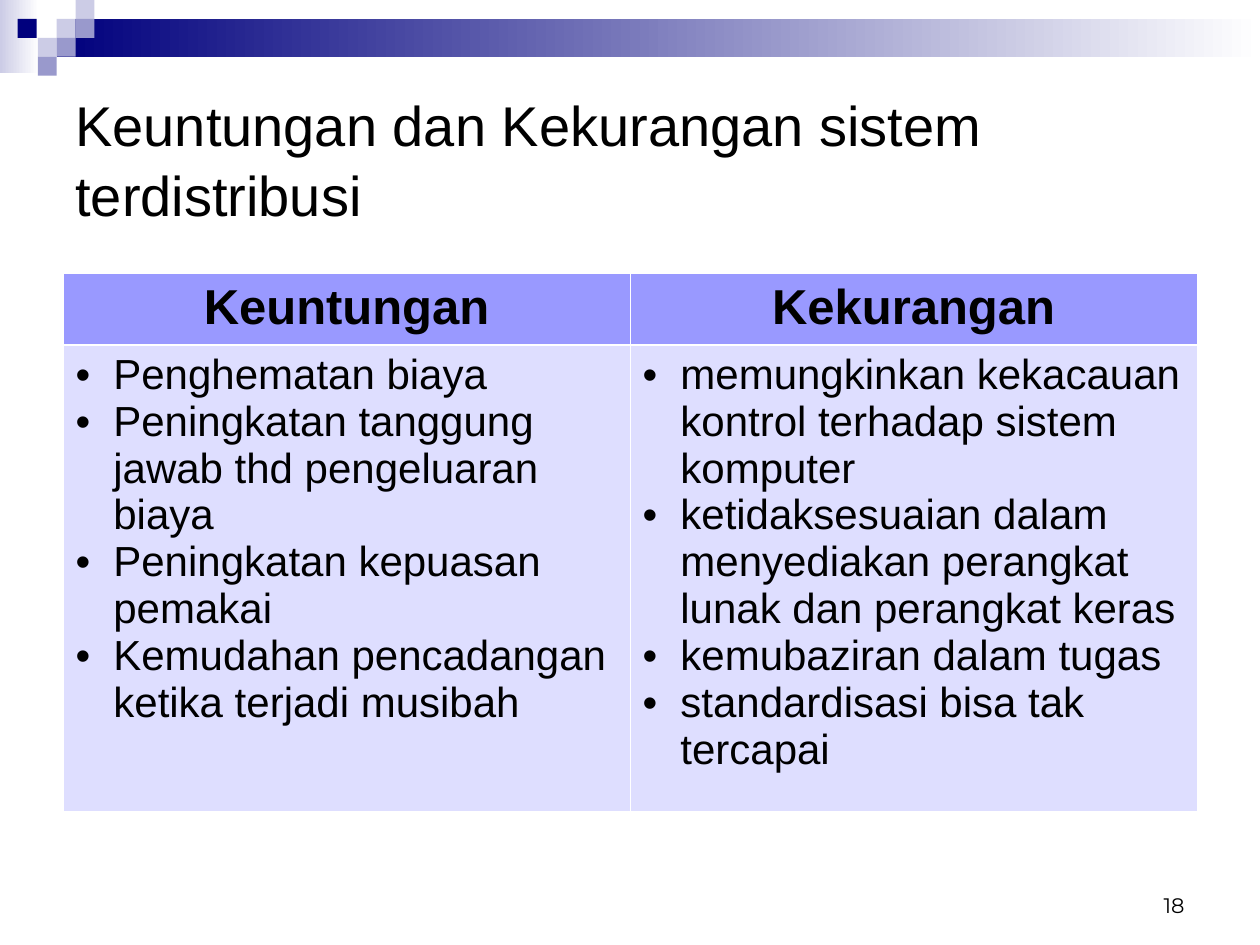
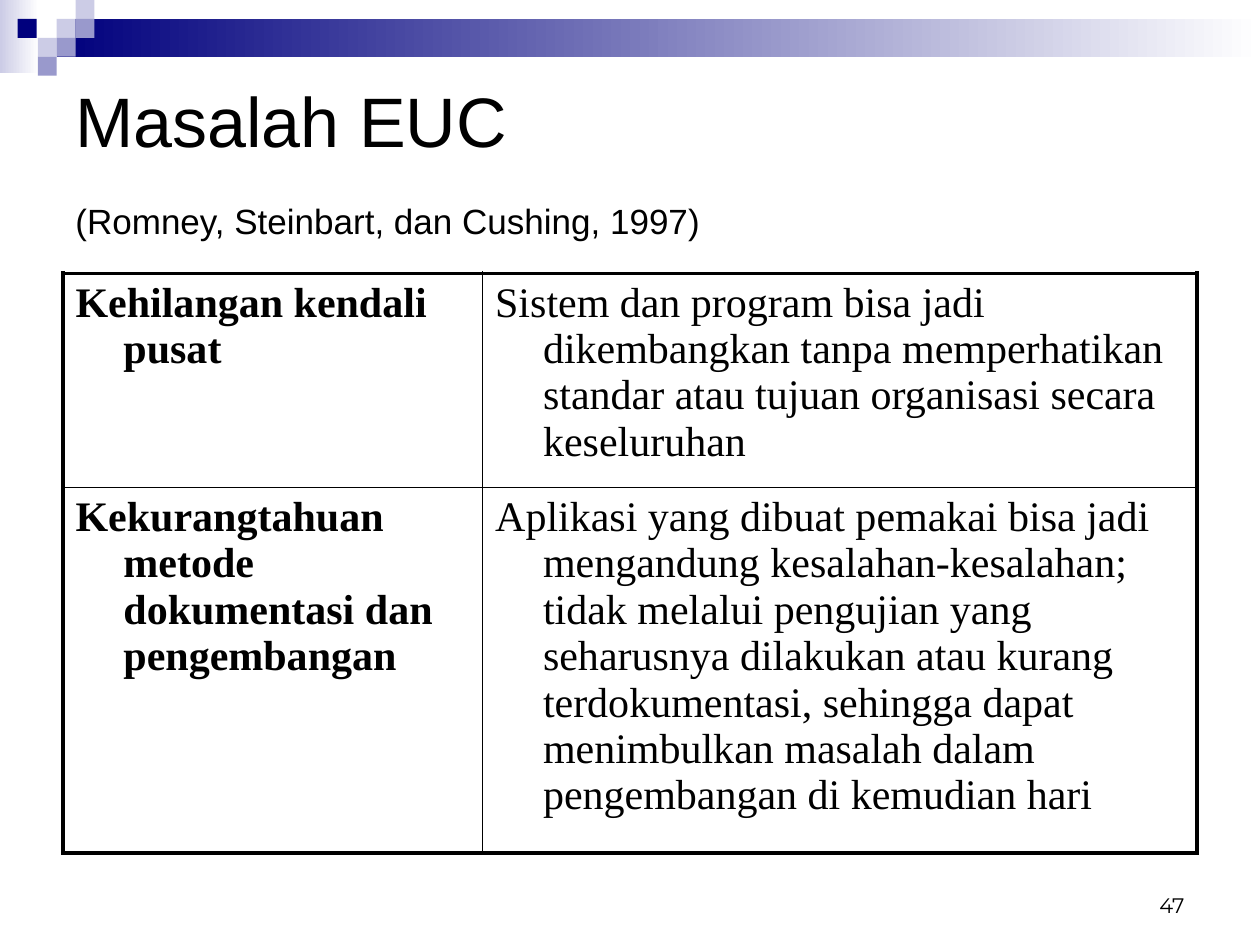
"""Build two slides: a comparison of distributed systems and a table of EUC problems."""
from lxml import etree
from pptx import Presentation
from pptx import util as u
from pptx.dml.color import RGBColor
from pptx.enum import shapes, text
from pptx.oxml.ns import qn

COLORS = {
    "ink": "000000", "white": "FFFFFF", "navy": "00007D", "mist": "CCCCE6",
    "lavender": "9999CC", "header": "9999FF", "body": "DEDEFF",
}
SQUARES = [
    (0.45, 0.15, "mist"), (0.6, 0, "mist"), (0.6, 0.15, "lavender"),
    (0.3, 0.3, "mist"), (0.14, 0.15, "navy"), (0.45, 0.3, "lavender"),
    (0.3, 0.45, "lavender"),
]
BENEFITS = [
    "Penghematan biaya",
    "Peningkatan tanggung jawab thd pengeluaran biaya",
    "Peningkatan kepuasan pemakai",
    "Kemudahan pencadangan ketika terjadi musibah",
]
DRAWBACKS = [
    "memungkinkan kekacauan kontrol terhadap sistem komputer",
    "ketidaksesuaian dalam menyediakan perangkat lunak dan perangkat keras",
    "kemubaziran dalam tugas",
    "standardisasi bisa tak tercapai",
]
PROBLEMS = [
    ("Kehilangan kendali pusat",
     "Sistem dan program bisa jadi dikembangkan tanpa memperhatikan standar "
     "atau tujuan organisasi secara keseluruhan"),
    ("Kekurangtahuan metode dokumentasi dan pengembangan",
     "Aplikasi yang dibuat pemakai bisa jadi mengandung kesalahan-kesalahan; "
     "tidak melalui pengujian yang seharusnya dilakukan atau kurang "
     "terdokumentasi, sehingga dapat menimbulkan masalah dalam pengembangan "
     "di kemudian hari"),
]


def color(name):
    return RGBColor.from_string(COLORS[name])


class SlideBuilder:
    """Holds the shared style and the page being drawn."""

    def __init__(self):
        self.deck = Presentation()
        self.deck.slide_width, self.deck.slide_height = u.Inches(10), u.Inches(7.5)
        self.page = None

    def start_page(self, number):
        self.page = self.deck.slides.add_slide(self.deck.slide_layouts[6])
        self.rectangle(0, 0, 0.31, 0.58, "mist", "white")
        self.rectangle(0.45, 0.15, 9.55, 0.3, "navy", "white")
        for left, top, fill in SQUARES:
            self.rectangle(left, top, 0.15, 0.15, fill)
        frame = self.text_box(7.17, 6.83, 2.33, 0.5, text.MSO_ANCHOR.BOTTOM)
        self.fill_text(frame, [str(number)], 12, "Montserrat", align=text.PP_ALIGN.RIGHT)

    def rectangle(self, left, top, width, height, fill, fade=None):
        box = self.page.shapes.add_shape(
            shapes.MSO_SHAPE.RECTANGLE, *map(u.Inches, (left, top, width, height)))
        box.shadow.inherit = False
        box.line.fill.background()
        if fade:
            box.fill.gradient()
            box.fill.gradient_angle = 0
            for stop, name in zip(box.fill.gradient_stops, (fill, fade)):
                stop.color.rgb = color(name)
        else:
            box.fill.solid()
            box.fill.fore_color.rgb = color(fill)

    def text_box(self, left, top, width, height, anchor):
        box = self.page.shapes.add_textbox(*map(u.Inches, (left, top, width, height)))
        frame = box.text_frame
        frame.word_wrap = True
        frame.vertical_anchor = anchor
        return frame

    def fill_text(self, frame, lines, size, font="Arial", bold=False, align=None,
                  hang=0, bullet=False):
        for index, line in enumerate(lines):
            para = frame.add_paragraph() if index else frame.paragraphs[0]
            para.text = line
            if align is not None:
                para.alignment = align
            if hang:
                self.indent(para, hang, bullet)
            para.font.size, para.font.name, para.font.bold = u.Pt(size), font, bold
            para.font.color.rgb = color("ink")

    def indent(self, para, hang, bullet):
        props = para._p.get_or_add_pPr()
        props.set("marL", str(u.Inches(hang)))
        props.set("indent", str(-u.Inches(hang)))
        if bullet:
            etree.SubElement(props, qn("a:buFont"), typeface="Arial")
            etree.SubElement(props, qn("a:buChar"), char="•")

    def title(self, heading, size, source=None):
        frame = self.text_box(0.5, 0.5, 9, 1.5, text.MSO_ANCHOR.MIDDLE)
        self.fill_text(frame, [heading, source] if source else [heading], size)
        for para in frame.paragraphs:
            para.line_spacing = 1.05
        if source:
            para.font.size = u.Pt(20)
            para.space_before = u.Pt(20)

    def table(self, widths, heights):
        box = self.page.shapes.add_table(
            len(heights), len(widths),
            *map(u.Inches, (0.5, 2.17, sum(widths), sum(heights))))
        grid = box.table
        grid.first_row = grid.horz_banding = False
        for column, width in zip(grid.columns, widths):
            column.width = u.Inches(width)
        for row, height in zip(grid.rows, heights):
            row.height = u.Inches(height)
        return grid

    def rule_table(self, grid, name, outer, vertical, horizontal):
        last_row, last_column = len(grid.rows) - 1, len(grid.columns) - 1
        for r in range(last_row + 1):
            for c in range(last_column + 1):
                edges = {
                    "L": vertical if c else outer,
                    "R": vertical if c < last_column else outer,
                    "T": horizontal if r else outer,
                    "B": horizontal if r < last_row else outer,
                }
                props = grid.cell(r, c)._tc.get_or_add_tcPr()
                for place, (side, width) in enumerate(edges.items()):
                    line = etree.Element(qn(f"a:ln{side}"), w=str(u.Pt(width)))
                    fill = etree.SubElement(line, qn("a:solidFill"))
                    etree.SubElement(fill, qn("a:srgbClr"), val=COLORS[name])
                    props.insert(place, line)

    def comparison(self, columns):
        grid = self.table((4.5, 4.5), (0.57, 3.7))
        for c, (heading, points) in enumerate(columns):
            for r, name in enumerate(("header", "body")):
                grid.cell(r, c).fill.solid()
                grid.cell(r, c).fill.fore_color.rgb = color(name)
            self.fill_text(grid.cell(0, c).text_frame, [heading], 28, bold=True,
                           align=text.PP_ALIGN.CENTER)
            self.fill_text(grid.cell(1, c).text_frame, points, 24, hang=0.3, bullet=True)
        self.rule_table(grid, "white", 0.45, 0.45, 1.47)

    def definitions(self, rows):
        grid = self.table((3.33, 5.67), (1.7, 2.9))
        for r, row in enumerate(rows):
            for c, entry in enumerate(row):
                grid.cell(r, c).fill.background()
                self.fill_text(grid.cell(r, c).text_frame, [entry], 24,
                               "Times New Roman", bold=c == 0, hang=0.38)
        self.rule_table(grid, "ink", 2.5, 0.45, 0.45)


def main():
    builder = SlideBuilder()
    builder.start_page(18)
    builder.title("Keuntungan dan Kekurangan sistem terdistribusi", 32)
    builder.comparison([("Keuntungan", BENEFITS), ("Kekurangan", DRAWBACKS)])

    builder.start_page(47)
    builder.title("Masalah EUC", 40, "(Romney, Steinbart, dan Cushing, 1997)")
    builder.definitions(PROBLEMS)
    builder.deck.save("out.pptx")


if __name__ == "__main__":
    main()
